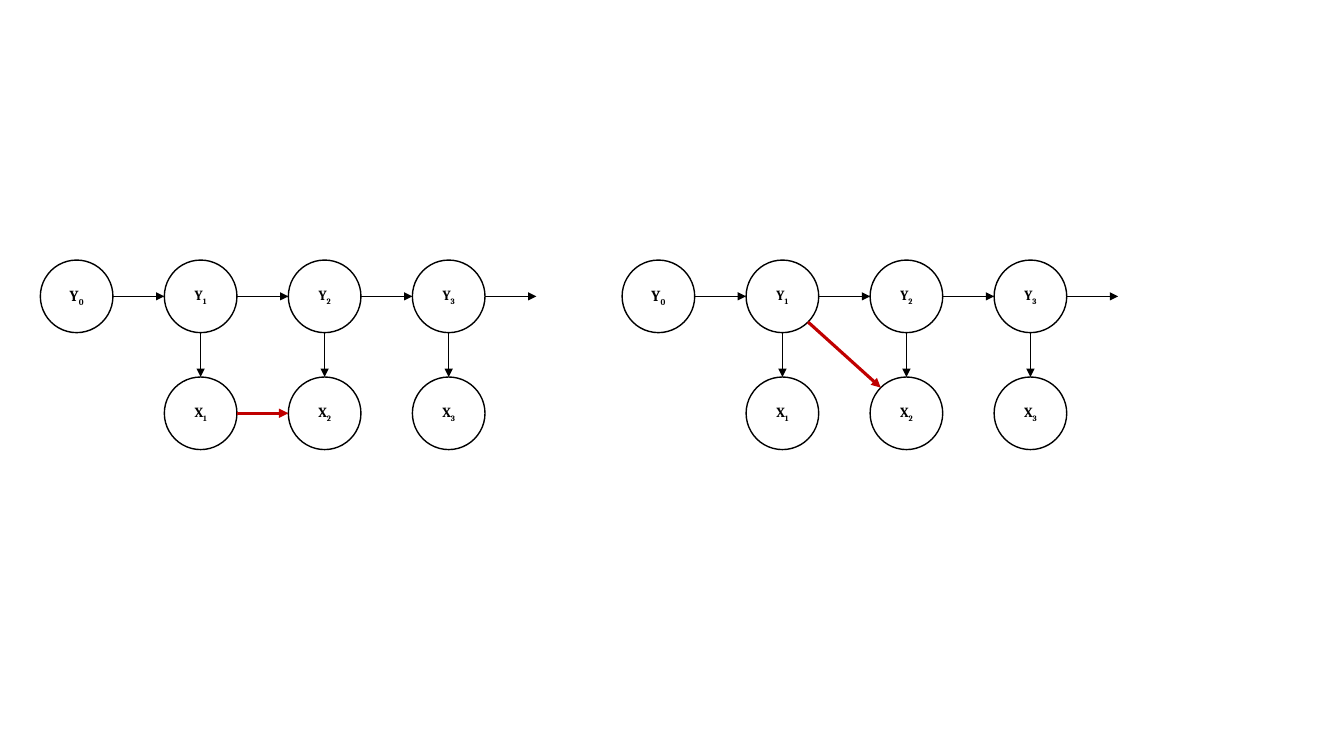
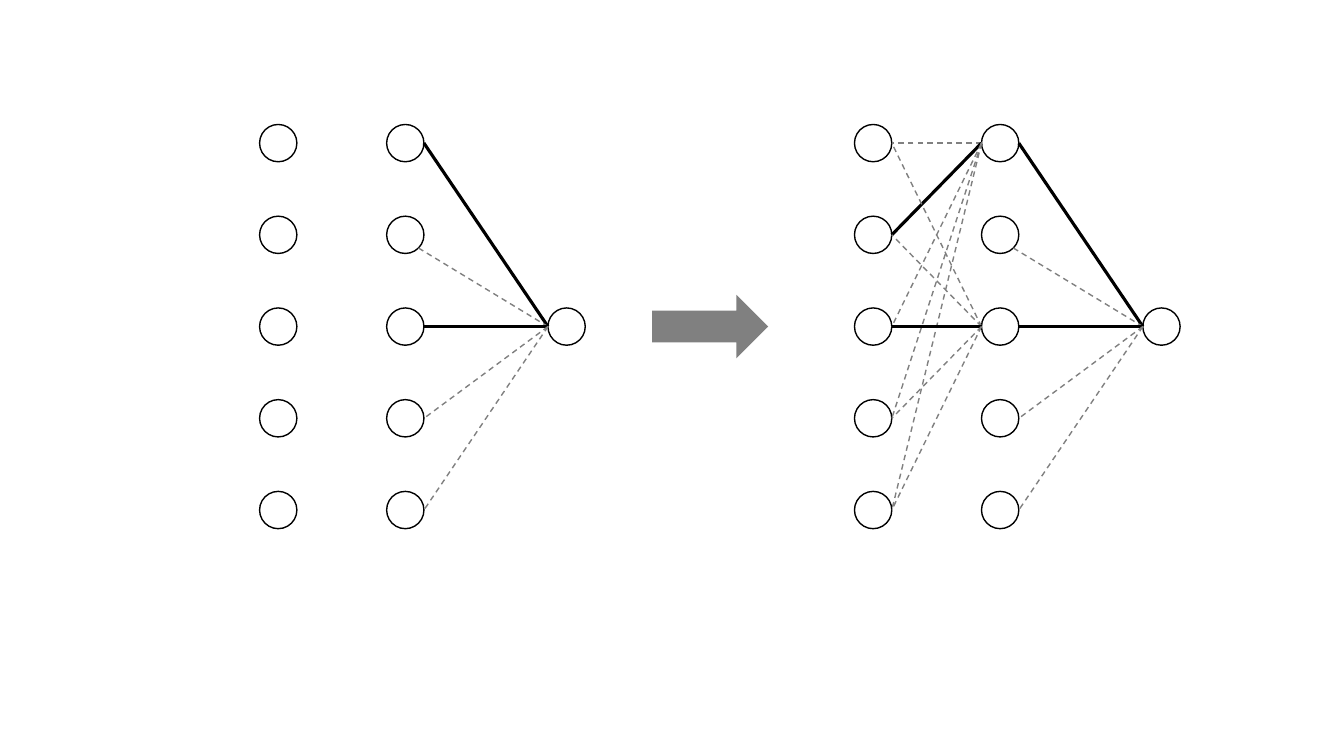
from dataclasses import dataclass
from math import sqrt

from lxml import etree
from pptx import Presentation
from pptx.dml.color import RGBColor
from pptx.enum.dml import MSO_LINE
from pptx.enum.shapes import MSO_CONNECTOR, MSO_SHAPE
from pptx.enum.text import MSO_ANCHOR, PP_ALIGN
from pptx.oxml.ns import qn
from pptx.util import Inches, Pt

STRAIGHT = MSO_CONNECTOR.STRAIGHT
ELLIPSE = MSO_SHAPE.OVAL
BLOCK_ARROW = MSO_SHAPE.RIGHT_ARROW
DASH = MSO_LINE.DASH
MIDDLE = MSO_ANCHOR.MIDDLE
CENTER = PP_ALIGN.CENTER

COLORS = {"ink": "000000", "paper": "FFFFFF", "accent": "C00000", "muted": "808080"}
FONT = "Cambria"
BLANK_LAYOUT = 6

LEFT, RIGHT, TOP, BOTTOM = (-1, 0), (1, 0), (0, -1), (0, 1)
LOWER_RIGHT = (sqrt(0.5), sqrt(0.5))
UPPER_LEFT = (-sqrt(0.5), -sqrt(0.5))


@dataclass(frozen=True)
class Grid:
    left: float
    top: float
    column: float
    row: float
    diameter: float

    def center(self, column: float, row: float) -> tuple[float, float]:
        return self.left + column * self.column, self.top + row * self.row

    def port(self, column: float, row: float, side: tuple) -> tuple[float, float]:
        x, y = self.center(column, row)
        radius = self.diameter / 2
        return x + side[0] * radius, y + side[1] * radius


@dataclass(frozen=True)
class Stroke:
    color: str
    width: float
    dashed: bool = False
    arrow: bool = False


@dataclass(frozen=True)
class Node:
    column: float
    row: int
    letter: str = ""
    index: str = ""
    size: int = 10


@dataclass(frozen=True)
class Edge:
    start: tuple
    start_side: tuple
    end: tuple
    end_side: tuple
    stroke: Stroke


FLOW = Stroke("ink", 0.5, arrow=True)
HIGHLIGHT = Stroke("accent", 2.25, arrow=True)
ACTIVE = Stroke("ink", 2.25)
INACTIVE = Stroke("muted", 1, dashed=True)


def color(name: str) -> RGBColor:
    return RGBColor.from_string(COLORS[name])


def draw_node(page, grid: Grid, node: Node) -> None:
    x, y = grid.center(node.column, node.row)
    radius = grid.diameter / 2
    circle = page.shapes.add_shape(
        ELLIPSE, Inches(x - radius), Inches(y - radius),
        Inches(grid.diameter), Inches(grid.diameter),
    )
    circle.shadow.inherit = False
    circle.fill.solid()
    circle.fill.fore_color.rgb = color("paper")
    circle.line.color.rgb = color("ink")
    circle.line.width = Pt(1)
    if node.letter:
        write_label(circle, node)


def write_label(circle, node: Node) -> None:
    frame = circle.text_frame
    frame.vertical_anchor = MIDDLE
    para = frame.paragraphs[0]
    para.alignment = CENTER
    para.font.name = FONT
    para.font.size = Pt(node.size)
    para.font.bold = True
    para.font.color.rgb = color("ink")
    para.add_run().text = node.letter
    subscript = para.add_run()
    subscript.text = node.index
    subscript.font._element.set("baseline", "-25000")


def draw_edge(page, grid: Grid, edge: Edge) -> None:
    start = grid.port(*edge.start, edge.start_side)
    end = grid.port(*edge.end, edge.end_side)
    connector = page.shapes.add_connector(
        STRAIGHT, *(Inches(length) for length in start + end)
    )
    line = connector.line
    line.color.rgb = color(edge.stroke.color)
    line.width = Pt(edge.stroke.width)
    if edge.stroke.dashed:
        line.dash_style = DASH
    properties = connector._element.spPr
    if edge.stroke.arrow:
        etree.SubElement(properties.find(qn("a:ln")), qn("a:tailEnd"), type="triangle")
    etree.SubElement(properties, qn("a:effectLst"))


def draw_graph(page, grid: Grid, nodes: list[Node], edges: list[Edge]) -> None:
    for node in nodes:
        draw_node(page, grid, node)
    for edge in edges:
        draw_edge(page, grid, edge)


def draw_block_arrow(page, grid: Grid, column: float, row: float) -> None:
    width, height = 1.15, 0.63
    x, y = grid.center(column, row)
    arrow = page.shapes.add_shape(
        BLOCK_ARROW, Inches(x - width / 2), Inches(y - height / 2),
        Inches(width), Inches(height),
    )
    arrow.shadow.inherit = False
    arrow.fill.solid()
    arrow.fill.fore_color.rgb = color("muted")
    arrow.line.fill.background()


def build_chains(page) -> None:
    steps = range(1, 4)
    states = [Node(0, 0, "Y", "0", 11)] + [Node(step, 0, "Y", str(step)) for step in steps]
    observations = [Node(step, 1, "X", str(step)) for step in steps]
    transitions = [Edge((step, 0), RIGHT, (step + 1, 0), LEFT, FLOW) for step in range(4)]
    emissions = [Edge((step, 0), BOTTOM, (step, 1), TOP, FLOW) for step in steps]
    extra_links = [
        Edge((1, 1), RIGHT, (2, 1), LEFT, HIGHLIGHT),
        Edge((1, 0), LOWER_RIGHT, (2, 1), UPPER_LEFT, HIGHLIGHT),
    ]
    for position, extra_link in enumerate(extra_links):
        grid = Grid(0.76 + position * 5.77, 2.94, 1.23, 1.16, 0.72)
        draw_graph(page, grid, states + observations, transitions + emissions + [extra_link])


def build_networks(page) -> None:
    rows = range(5)
    middle = 2
    output = (2.27, middle)
    active_hidden = (0, middle)
    active_inputs = {(1, 0), (middle, middle)}
    nodes = [Node(column, row) for column in (0, 1) for row in rows] + [Node(*output)]
    output_edges = [
        Edge(output, LEFT, (1, row), LOWER_RIGHT if row == 1 else RIGHT,
             ACTIVE if row in active_hidden else INACTIVE)
        for row in rows
    ]
    input_edges = [
        Edge((1, hidden), LEFT, (0, row), RIGHT,
             ACTIVE if (row, hidden) in active_inputs else INACTIVE)
        for hidden in active_hidden for row in rows
    ]
    before, after = (Grid(left, 1.42, 1.26, 0.91, 0.37) for left in (2.76, 8.66))
    draw_graph(page, before, nodes, output_edges)
    draw_graph(page, after, nodes, output_edges + input_edges)
    draw_block_arrow(page, before, 3.4, middle)


def main() -> None:
    deck = Presentation()
    deck.slide_width = Inches(13.33)
    deck.slide_height = Inches(7.5)
    for build in (build_chains, build_networks):
        build(deck.slides.add_slide(deck.slide_layouts[BLANK_LAYOUT]))
    deck.save("out.pptx")


main()
